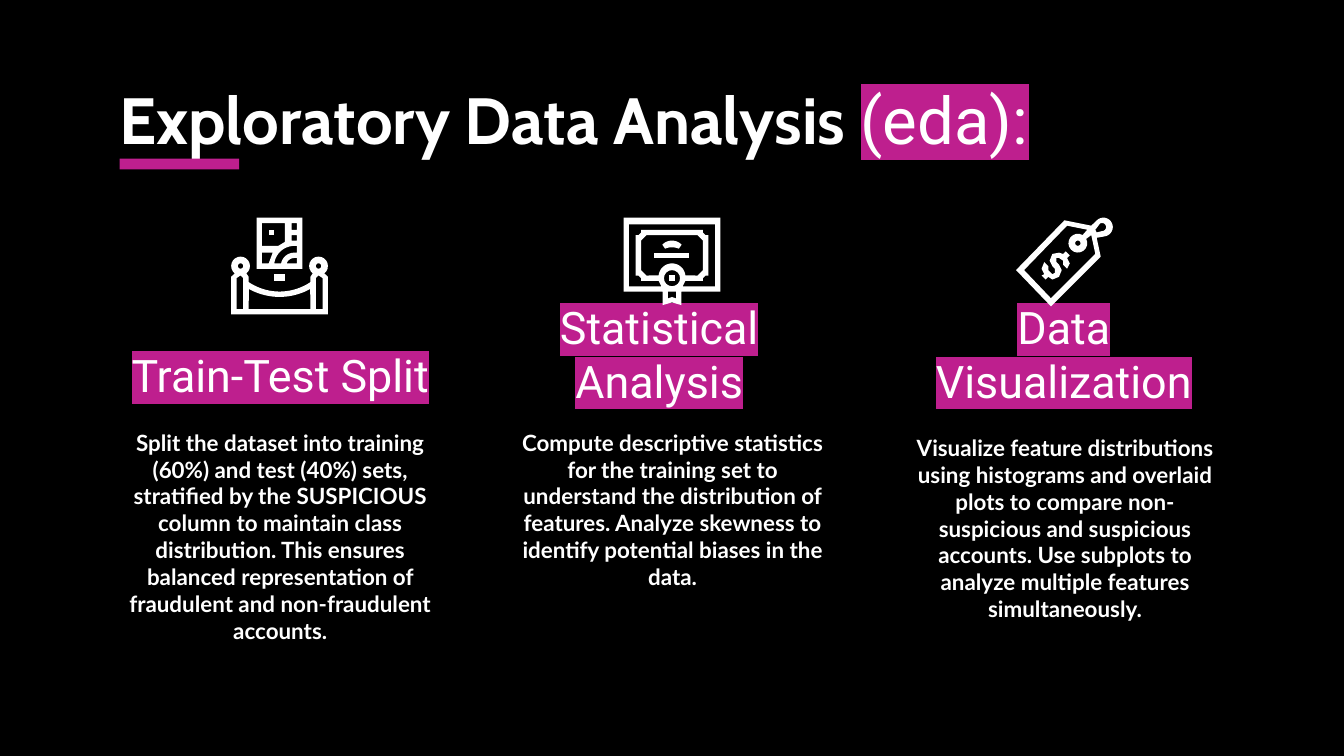
from math import cos, radians, sin

from lxml.etree import SubElement
from pptx import Presentation
from pptx.dml.color import RGBColor
from pptx.enum.shapes import MSO_SHAPE
from pptx.enum.text import MSO_ANCHOR as ANCHOR, PP_ALIGN as ALIGN
from pptx.oxml.ns import qn
from pptx.util import Inches, Pt

COLORS = {"black": "000000", "white": "FFFFFF", "pink": "BE1F8E"}


def rgb(name):
    return RGBColor.from_string(COLORS[name])


def arc(cx, cy, r, start, end, steps=16):
    """Points along an arc, angles in degrees, clockwise from the right."""
    angles = [radians(start + (end - start) * i / steps) for i in range(steps + 1)]
    return [(cx + r * cos(a), cy + r * sin(a)) for a in angles]


def box(left, top, right, bottom):
    return [(left, top), (right, top), (right, bottom), (left, bottom)]


def flip(points, axis):
    return [(2 * axis - x, y) for x, y in reversed(points)]


def mirrored(half, axis):
    """Closes a left half with its reflection in a vertical axis."""
    return half + flip(half, axis)


class SlideMaker:
    def __init__(self, prs):
        self.s = prs.slides.add_slide(prs.slide_layouts[6])
        fill = self.s.background.fill
        fill.solid()
        fill.fore_color.rgb = rgb("black")

    def paint(self, sp, color):
        sp.shadow.inherit = False
        sp.fill.solid()
        sp.fill.fore_color.rgb = rgb(color)
        sp.line.fill.background()

    def bar(self, at, color):
        sp = self.s.shapes.add_shape(MSO_SHAPE.RECTANGLE, *map(Inches, at))
        self.paint(sp, color)

    def text(self, at, runs, size, align=ALIGN.CENTER, anchor=ANCHOR.TOP):
        """Each run is (text, highlighted); highlighted runs are plain Roboto."""
        tf = self.s.shapes.add_textbox(*map(Inches, at)).text_frame
        tf.word_wrap = True
        tf.vertical_anchor = anchor
        tf.margin_left = tf.margin_right = Inches(0.1)
        tf.margin_top = tf.margin_bottom = Inches(0.1)
        p = tf.paragraphs[0]
        p.alignment = align
        for words, highlighted in runs:
            r = p.add_run()
            r.text = words
            r.font.size = Pt(size)
            r.font.color.rgb = rgb("white")
            r.font.bold = not highlighted
            if highlighted:
                self.highlight(r, "pink")
            plain = "Cabin" if size > 30 else "Lato"
            r.font.name = "Roboto" if highlighted else plain

    def highlight(self, r, color):
        mark = SubElement(r.font._element, qn("a:highlight"))
        SubElement(mark, qn("a:srgbClr"), val=COLORS[color])

    def outline(self, contours):
        """Draws one shape; contours after the first cut holes in it."""
        contours = [[(Inches(x), Inches(y)) for x, y in c] for c in contours]
        builder = self.s.shapes.build_freeform(*contours[0][0], scale=1.0)
        builder.add_line_segments(contours[0][1:], close=True)
        for first, *rest in contours[1:]:
            builder.move_to(*first)
            builder.add_line_segments(rest, close=True)
        sp = builder.convert_to_shape()
        self.paint(sp, "white")
        return sp

    def icon(self, pieces):
        self.s.shapes.add_group_shape([self.outline(piece) for piece in pieces])


def exhibit_icon():
    axis = 2.08
    stand = [(2.08, 2.17), *arc(axis, 1.76, 0.41, 90, 124), (1.85, 2.06),
             *arc(1.79, 1.98, 0.07, 52, -232), (1.72, 2.06), (1.72, 2.34)]
    post = [(1.79, 2.05), (1.81, 2.07), (1.81, 2.3), (1.76, 2.3), (1.76, 2.07)]
    knob = arc(1.79, 1.98, 0.02, 0, 360)
    curtain = [*arc(axis, 1.74, 0.47, 90, 119), (1.85, 2.3)]
    painting = [
        box(1.91, 1.62, 2.25, 2),
        box(2.17, 1.66, 2.21, 1.71),
        box(2.17, 1.75, 2.21, 1.79),
        [(1.95, 1.66), (2.12, 1.66), (2.12, 1.8), (2.07, 1.83), (1.95, 1.83)],
        [(1.95, 1.88), (2.03, 1.88), (2, 1.96), (1.95, 1.96)],
        [*arc(2.19, 1.98, 0.15, 188, 270), (2.21, 1.83), (2.21, 1.88),
         *arc(2.19, 1.98, 0.1, 270, 191)],
        [*arc(2.19, 1.98, 0.06, 199, 270), (2.21, 1.92), (2.21, 1.96)],
    ]
    return [
        [mirrored(stand, axis), post, flip(post, axis), knob, flip(knob, axis),
         mirrored(curtain, axis)],
        [box(2, 1.71, 2.04, 1.75)],
        painting,
        [box(2.04, 2.04, 2.12, 2.09)],
    ]


def certificate_icon():
    axis = 5
    halves = [
        [(4.64, 1.62), (4.64, 2.17), (4.93, 2.17), (4.93, 2.27), (5, 2.25)],
        [(4.77, 1.71), (4.77, 1.73), (4.75, 1.75), (4.73, 1.75), (4.73, 2.05),
         (4.75, 2.05), (4.77, 2.07), (4.77, 2.09), (4.9, 2.09), (4.92, 2.13),
         (4.68, 2.13), (4.68, 1.67)],
        [(4.81, 1.75), (4.77, 1.79), (4.77, 2.01), (4.81, 2.05),
         *arc(axis, 2.06, 0.1, 186, 270)],
        [(4.97, 2.17), (4.97, 2.22), (5, 2.21)],
    ]
    frame = [mirrored(half, axis) for half in halves]
    return [
        [*frame, arc(axis, 2.07, 0.06, 0, 360)],
        [box(4.98, 2.05, 5.02, 2.09)],
        [arc(axis, 1.89, 0.1, 224, 316) + arc(axis, 1.97, 0.13, 293, 247)],
        [box(4.87, 1.88, 5.13, 1.92)],
    ]


def price_tag_icon():
    tag = [
        [(7.82, 2.28), (8.19, 1.91), (8.16, 1.77), *arc(8.21, 1.69, 0.07, 80, -135),
         (8.12, 1.68), (7.92, 1.64), (7.56, 2.01)],
        [(7.94, 1.68), (8.09, 1.71), *arc(8.02, 1.81, 0.07, -60, -387),
         (8.12, 1.75), (8.15, 1.89), (7.82, 2.22), (7.62, 2.01)],
        arc(8.02, 1.81, 0.02, 0, 360),
        [(8.16, 1.73), (8.15, 1.71), *arc(8.2, 1.69, 0.03, -120, 70)],
    ]
    dollar = [
        (7.93, 1.87), (7.91, 1.89), (7.88, 1.88), (7.83, 1.89), (7.81, 1.94),
        (7.83, 1.98), (7.85, 2), (7.85, 2.03), (7.83, 2.04), (7.82, 2.03),
        (7.8, 2.01), (7.8, 1.98), (7.77, 1.95), (7.75, 2), (7.77, 2.04),
        (7.75, 2.05), (7.78, 2.08), (7.8, 2.06), (7.83, 2.08), (7.88, 2.06),
        (7.9, 2.01), (7.88, 1.97), (7.86, 1.95), (7.86, 1.92), (7.88, 1.92),
        (7.91, 1.94), (7.91, 1.97), (7.94, 2), (7.96, 1.96), (7.94, 1.92),
        (7.96, 1.9)]
    return [tag, [dollar]]


COLUMNS = [
    ("Train-Test Split", (0.79, 2.46, 2.59, 0.63),
     "Split the dataset into training (60%) and test (40%) sets, stratified by the "
     "SUSPICIOUS column to maintain class distribution. This ensures balanced "
     "representation of fraudulent and non-fraudulent accounts.",
     (0.79, 3.09, 2.59, 1.69), exhibit_icon),
    ("Statistical Analysis", (3.52, 2.5, 2.77, 0.63),
     "Compute descriptive statistics for the training set to understand the "
     "distribution of features. Analyze skewness to identify potential biases in "
     "the data.",
     (3.71, 3.09, 2.59, 1.69), certificate_icon),
    ("Data Visualization", (6.62, 2.5, 2.59, 0.63),
     "Visualize feature distributions using histograms and overlaid plots to compare "
     "non-suspicious and suspicious accounts. Use subplots to analyze multiple "
     "features simultaneously.",
     (6.63, 3.13, 2.59, 1.65), price_tag_icon),
]


def main():
    prs = Presentation()
    prs.slide_width = Inches(10)
    prs.slide_height = Inches(10) * 9 // 16
    maker = SlideMaker(prs)
    maker.text((0.79, 0.49, 8.43, 0.63),
               [("Exploratory Data Analysis ", False), ("(eda):", True)],
               35, align=ALIGN.LEFT)
    for heading, heading_at, body, body_at, _ in COLUMNS:
        maker.text(body_at, [(body, False)], 12)
        maker.text(heading_at, [(heading, True)], 24, anchor=ANCHOR.BOTTOM)
    maker.bar((0.89, 1.18, 0.89, 0.08), "pink")
    for *_, icon in COLUMNS:
        maker.icon(icon())
    prs.save("out.pptx")


if __name__ == "__main__":
    main()
